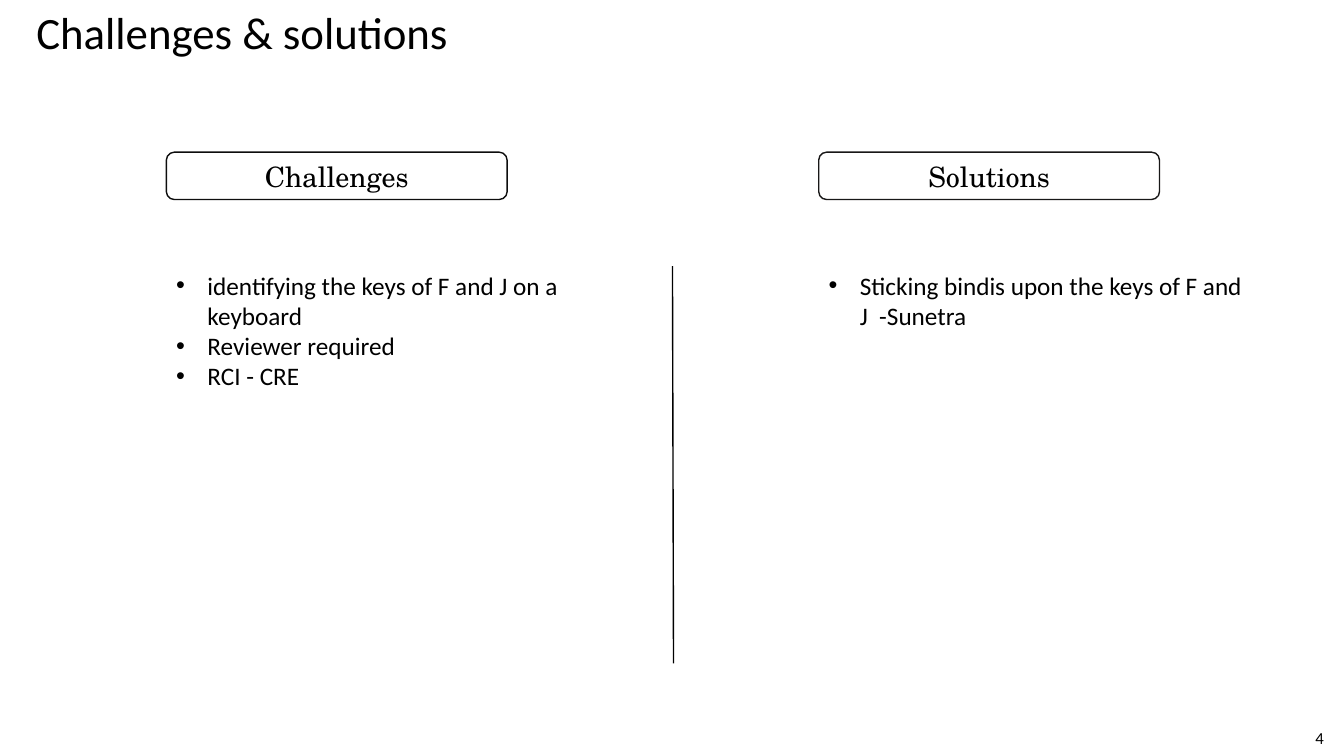
from lxml import etree
from pptx import Presentation, util as u
from pptx.dml.color import RGBColor
from pptx.enum import shapes, text
from pptx.oxml.ns import qn

WIDTH, HEIGHT = 13.33, 7.5
TITLE = "Challenges & solutions"
PAGE_NUMBER = "4"
COLUMNS = [
    {
        "heading": "Challenges",
        "outline": "0D0D0D",
        "list_width": 4.03,
        "points": [
            "identifying the keys of F and J on a keyboard",
            "Reviewer required",
            "RCI - CRE",
        ],
    },
    {
        "heading": "Solutions",
        "outline": "181717",
        "list_width": 4.37,
        "points": ["Sticking bindis upon the keys of F and J  -Sunetra"],
    },
]
BODY_FONT, HEADING_FONT = "Calibri", "TeX Gyre Schola"
BLACK, WHITE = "000000", "FFFFFF"

FIRST_LEFT, COLUMN_STEP = 1.65, 6.47
HEADING_TOP, HEADING_WIDTH, HEADING_HEIGHT = 1.51, 3.38, 0.47
LIST_TOP, LINE_HEIGHT, LIST_PADDING = 2.63, 0.3, 0.1
BULLET_INDENT = 0.31


def color(value):
    return RGBColor.from_string(value)


def inches(*lengths):
    return [u.Inches(length) for length in lengths]


def add_span(para, words, size, font=BODY_FONT):
    span = para.add_run()
    span.text = words
    span.font.size = u.Pt(size)
    span.font.name = font
    span.font.color.rgb = color(BLACK)


def add_label(page, kind, area, words, size, font):
    """Add an unfilled, unlined shape with centred text."""
    label = page.shapes.add_shape(kind, *inches(*area))
    label.shadow.inherit = False
    label.fill.background()
    label.line.fill.background()
    frame = label.text_frame
    frame.vertical_anchor = text.MSO_ANCHOR.MIDDLE
    para = frame.paragraphs[0]
    para.alignment = text.PP_ALIGN.CENTER
    add_span(para, words, size, font)
    return label


def add_bullet(para):
    properties = para._p.get_or_add_pPr()
    properties.set("marL", str(u.Inches(BULLET_INDENT)))
    properties.set("indent", str(-u.Inches(BULLET_INDENT)))
    etree.SubElement(properties, qn("a:buFont"), typeface="Arial")
    etree.SubElement(properties, qn("a:buChar"), char="•")


def add_title(page):
    title = page.shapes.title
    title.left, title.top, title.width, title.height = inches(0.26, 0, 4.52, 0.64)
    frame = title.text_frame
    frame.auto_size = text.MSO_AUTO_SIZE.NONE
    frame.vertical_anchor = text.MSO_ANCHOR.TOP
    para = frame.paragraphs[0]
    para.alignment = text.PP_ALIGN.LEFT
    add_span(para, TITLE, 32)


def add_divider(page):
    divider = page.shapes.add_connector(
        shapes.MSO_CONNECTOR.STRAIGHT, *inches(6.67, 2.64, 6.68, 6.58)
    )
    divider.line.color.rgb = color(BLACK)
    divider.line.width = u.Pt(1)
    etree.SubElement(divider._element.spPr, qn("a:effectLst"))


def add_column(page, left, column):
    heading = add_label(
        page,
        shapes.MSO_SHAPE.ROUNDED_RECTANGLE,
        (left, HEADING_TOP, HEADING_WIDTH, HEADING_HEIGHT),
        column["heading"], 20, HEADING_FONT,
    )
    heading.line.color.rgb = color(column["outline"])
    heading.line.width = u.Pt(1)

    points = column["points"]
    height = (len(points) + 1) * LINE_HEIGHT + LIST_PADDING
    box = page.shapes.add_textbox(
        *inches(left, LIST_TOP, column["list_width"], height)
    )
    frame = box.text_frame
    frame.word_wrap = True
    for index, point in enumerate(points):
        para = frame.add_paragraph() if index else frame.paragraphs[0]
        add_bullet(para)
        add_span(para, point, 18)


def add_page_number(page):
    badge = add_label(
        page, shapes.MSO_SHAPE.OVAL, (12.96, 7.19, 0.26, 0.25),
        PAGE_NUMBER, 12, BODY_FONT,
    )
    badge.fill.solid()
    badge.fill.fore_color.rgb = color(WHITE)
    frame = badge.text_frame
    frame.word_wrap = False
    frame.margin_left = frame.margin_right = 0
    frame.margin_top = frame.margin_bottom = 0


def main():
    deck = Presentation()
    deck.slide_width, deck.slide_height = inches(WIDTH, HEIGHT)
    page = deck.slides.add_slide(deck.slide_layouts.get_by_name("Title Only"))
    add_title(page)
    add_divider(page)
    for index, column in enumerate(COLUMNS):
        add_column(page, FIRST_LEFT + index * COLUMN_STEP, column)
    add_page_number(page)
    deck.save("out.pptx")


if __name__ == "__main__":
    main()
